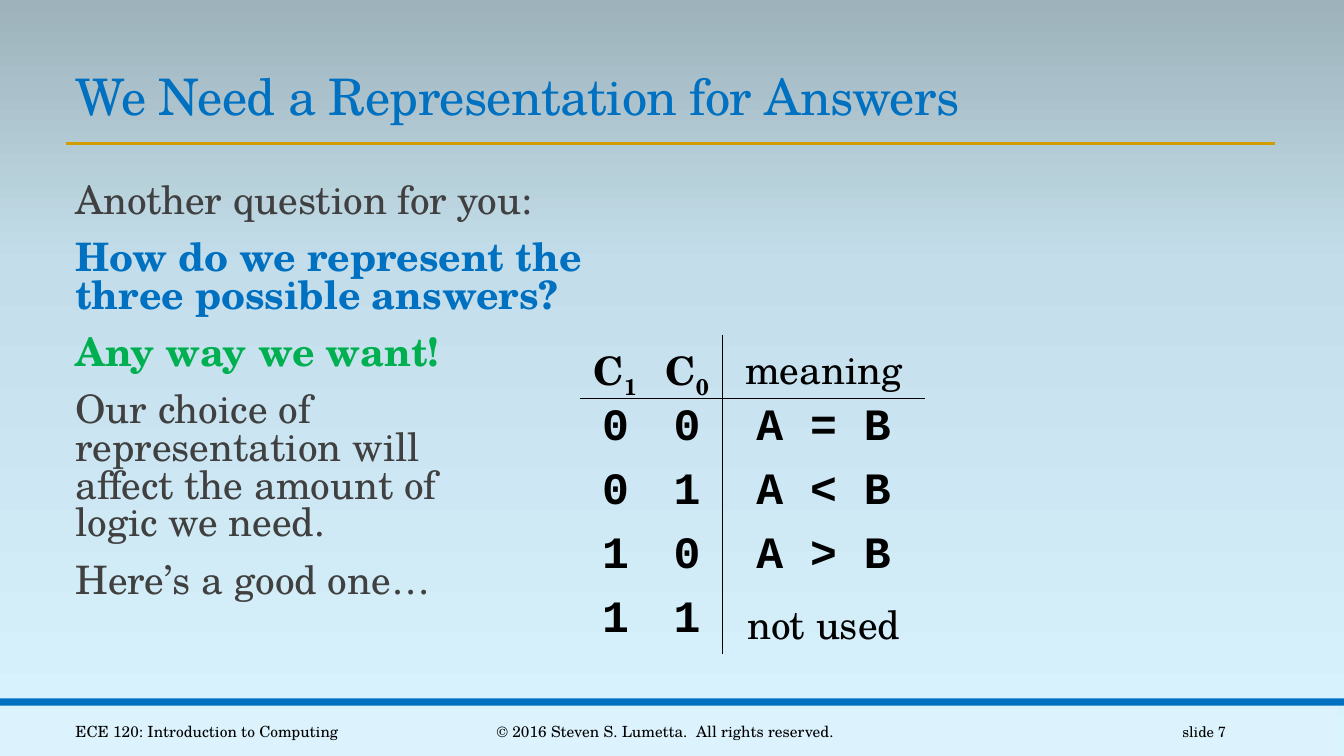
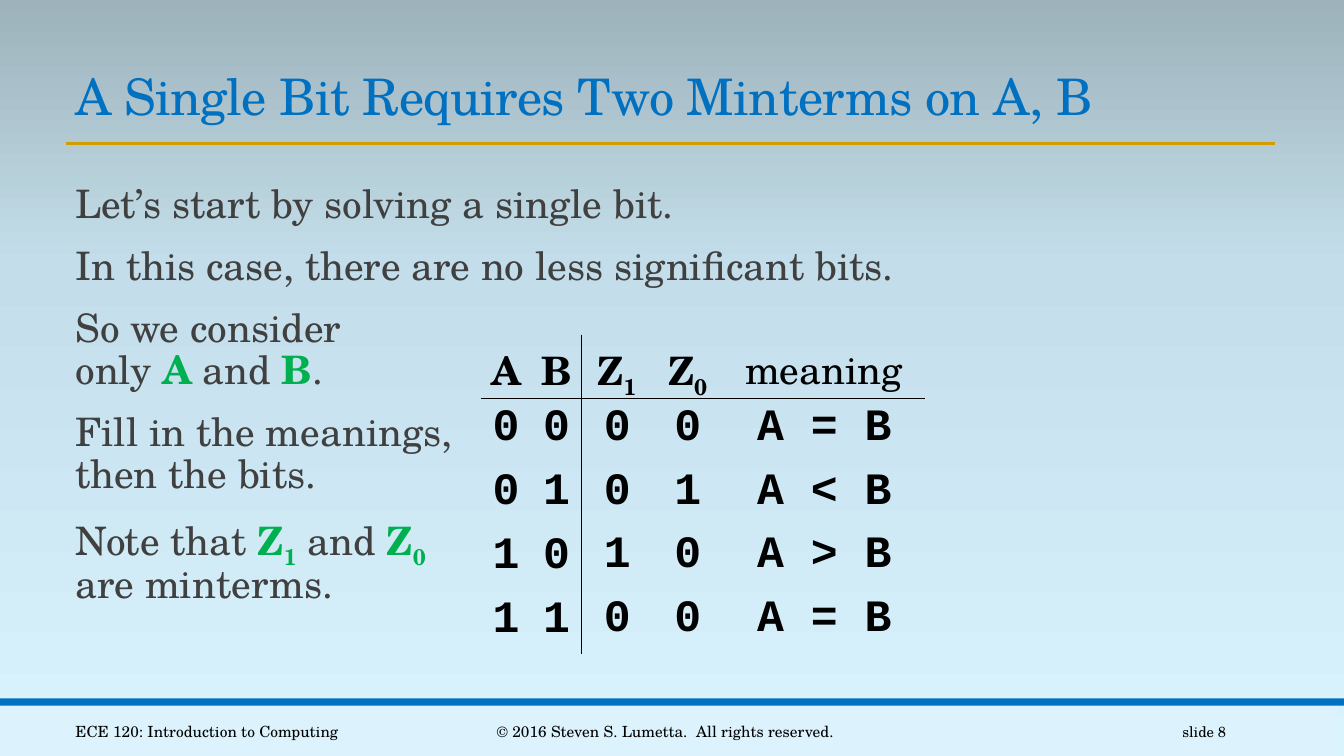
import copy

import pptx
import pptx.dml.color
import pptx.enum.shapes
import pptx.enum.text
import pptx.oxml.ns
import pptx.oxml.xmlchemy
import pptx.util
from pptx.util import Inches, Pt

# Shared look
COLORS = {
    "blue": "0070C0", "green": "00B050", "gray": "404040", "black": "000000",
    "gold": "D09E00", "footer": "DCF3FD",
}
BACKGROUND = [(0, "DAF4FF"), (0.65, "C3DEEA"), (1, "9DB2BA")]
SERIF, MONO = "TeX Gyre Schola", "Courier New"
ALIGN = pptx.enum.text.PP_ALIGN
ANCHOR = pptx.enum.text.MSO_ANCHOR
NO_TABLE_STYLE = "{2D5ABB26-0587-4C30-8999-92F81FD0307C}"
FOOTERS = [  # text, left, width, alignment, size
    ("ECE 120: Introduction to Computing", 0.65, 3.25, ALIGN.LEFT, 11),
    ("© 2016 Steven S. Lumetta.  All rights reserved.", 4.03, 5.14, ALIGN.CENTER, 11),
    ("slide {number}", 10.83, 1.43, ALIGN.RIGHT, 10.5),
]

# Content: a run is plain text or (text, colour, subscript)
SLIDES = [
    {
        "number": 7,
        "title": "We Need a Representation for Answers",
        "line_spacing": 0.8,
        "body": [
            ["Another question for you:"],
            [("How do we represent the\nthree possible answers?", "blue", "")],
            [("Any way we want!", "green", "")],
            ["Our choice of\nrepresentation will\naffect the amount of\nlogic we need."],
            ["Here’s a good one…"],
        ],
        "table": {
            "left": 5.75, "columns": [0.71, 0.71, 2], "inputs": 2,
            "header": [("C", "1"), ("C", "0"), ("meaning", "")],
            "rows": [("0", "0", "A = B"), ("0", "1", "A < B"),
                     ("1", "0", "A > B"), ("1", "1", "not used")],
        },
        "answers": [],
    },
    {
        "number": 8,
        "title": "A Single Bit Requires Two Minterms on A, B",
        "line_spacing": 0.9,
        "body": [
            ["Let’s start by solving a single bit."],
            ["In this case, there are no less significant bits."],
            ["So we consider\nonly ", ("A", "green", ""), " and ", ("B", "green", ""), "."],
            ["Fill in the meanings,\nthen the bits."],
            ["Note that ", ("Z", "green", "1"), " and ", ("Z", "green", "0"),
             "\nare minterms."],
        ],
        "table": {
            "left": 4.77, "columns": [0.5, 0.5, 0.7, 0.7, 2], "inputs": 2,
            "header": [("A", ""), ("B", ""), ("Z", "1"), ("Z", "0"), ("meaning", "")],
            "rows": [("0", "0"), ("0", "1"), ("1", "0"), ("1", "1")],
        },
        "answers": [("0", "0", "A = B"), ("0", "1", "A < B"),
                    ("1", "0", "A > B"), ("0", "0", "A = B")],
    },
]
ANSWER_COLUMNS = [(5.89, 0.47), (6.59, 0.47), (7.41, 1.55)]
ANSWER_TOP, ANSWER_STEP = 3.88, 0.63


def rgb(name):
    return pptx.dml.color.RGBColor.from_string(COLORS[name])


def new_element(tag):
    return pptx.oxml.xmlchemy.OxmlElement(tag)


def set_font(font, size, color="black", name=SERIF, bold=False):
    font.name, font.size, font.bold = name, Pt(size), bold
    font.color.rgb = rgb(color)


def add_run(paragraph, text, subscript=""):
    """Add text with line breaks, then an optional subscript; return the runs."""
    runs = []
    for index, line in enumerate(text.split("\n")):
        if index:
            paragraph.add_line_break()
        if line:
            runs.append(paragraph.add_run())
            runs[-1].text = line
    if subscript:
        runs.append(paragraph.add_run())
        runs[-1].text = subscript
        runs[-1].font._element.set("baseline", "-25000")
    return runs


def add_text_box(slide, left, top, width, height, wrap=True):
    box = slide.shapes.add_textbox(Inches(left), Inches(top), Inches(width), Inches(height))
    box.text_frame.word_wrap = wrap
    return box.text_frame


def add_band(slide, left, top, height, color):
    band = slide.shapes.add_shape(
        pptx.enum.shapes.MSO_SHAPE.RECTANGLE,
        Inches(left), Inches(top), Inches(13.33), Inches(height))
    band.shadow.inherit = False
    band.fill.solid()
    band.fill.fore_color.rgb = rgb(color)
    band.line.fill.background()


def add_frame(slide, title_text, number):
    """Background, bands, rule, title and footers."""
    fill = slide.background.fill
    fill.gradient()
    fill.gradient_angle = 90
    stops = slide.element.find(".//" + pptx.oxml.ns.qn("a:gsLst"))
    stops.append(copy.deepcopy(stops[-1]))
    for stop, (position, color) in zip(fill.gradient_stops, BACKGROUND):
        stop.position = position
        stop.color.rgb = pptx.dml.color.RGBColor.from_string(color)

    add_band(slide, -0.06, 7, 0.5, "footer")
    add_band(slide, 0, 6.93, 0.07, "blue")
    rule = slide.shapes.add_connector(
        pptx.enum.shapes.MSO_CONNECTOR.STRAIGHT,
        Inches(0.65), Inches(1.42), Inches(12.65), Inches(1.42))
    rule.line.color.rgb = rgb("gold")
    rule.line.width = Pt(2)
    rule._element.spPr.append(new_element("a:effectLst"))

    title = slide.shapes.title
    title.left, title.top = Inches(0.65), Inches(0.59)
    title.width, title.height = Inches(12.01), Inches(0.71)
    title.text_frame.auto_size = pptx.enum.text.MSO_AUTO_SIZE.NONE
    title.text_frame.vertical_anchor = ANCHOR.BOTTOM
    paragraph = title.text_frame.paragraphs[0]
    paragraph.alignment, paragraph.line_spacing = ALIGN.LEFT, 0.85
    set_font(paragraph.font, 36, "blue")
    for run in add_run(paragraph, title_text):
        run.font._element.set("spc", "-50")

    for text, left, width, alignment, size in FOOTERS:
        frame = add_text_box(slide, left, 7.06, width, 0.4)
        frame.vertical_anchor = ANCHOR.MIDDLE
        paragraph = frame.paragraphs[0]
        paragraph.text = text.format(number=number)
        paragraph.alignment = alignment
        set_font(paragraph.font, size)


def add_body(slide, paragraphs, line_spacing):
    frame = add_text_box(slide, 0.65, 1.78, 8.52, 4.64)
    frame.margin_right = 0
    for index, runs in enumerate(paragraphs):
        paragraph = frame.add_paragraph() if index else frame.paragraphs[0]
        paragraph.line_spacing = line_spacing
        paragraph.space_before, paragraph.space_after = Pt(12), Pt(2)
        set_font(paragraph.font, 28, "gray")
        for item in runs:
            text, color, subscript = (item, "gray", "") if isinstance(item, str) else item
            for run in add_run(paragraph, text, subscript):
                set_font(run.font, 28, color, bold=color != "gray")


def set_borders(cell, sides):
    """Draw 1 pt black lines on the named sides and none on the others."""
    properties = cell._tc.get_or_add_tcPr()
    for side in "LRTB":
        line = new_element("a:ln" + side)
        line.set("w", str(Pt(1)))
        if side in sides:
            fill = new_element("a:solidFill")
            color = new_element("a:srgbClr")
            color.set("val", COLORS["black"])
            fill.append(color)
        else:
            fill = new_element("a:noFill")
        line.append(fill)
        properties.append(line)
    cell.fill.background()


def add_truth_table(slide, left, columns, inputs, header, rows):
    frame = slide.shapes.add_table(
        len(rows) + 1, len(columns),
        Inches(left), Inches(3.32), Inches(sum(columns)), Inches(3.1))
    table = frame.table
    table.first_row = table.horz_banding = False
    table._tbl.tblPr.find(pptx.oxml.ns.qn("a:tableStyleId")).text = NO_TABLE_STYLE
    for column, width in zip(table.columns, columns):
        column.width = Inches(width)
    for index, row in enumerate(table.rows):
        row.height = Inches(0.54 if index else 0.47)
    frame.height = Inches(3.1)

    contents = [header] + [[(text, "") for text in row] for row in rows]
    for row_index in range(len(contents)):
        for column_index in range(len(columns)):
            cell = table.cell(row_index, column_index)
            sides = {0: "B", 1: "T"}.get(row_index, "")
            sides += {inputs - 1: "R", inputs: "L"}.get(column_index, "")
            set_borders(cell, sides)
            if column_index >= len(contents[row_index]):
                continue
            text, subscript = contents[row_index][column_index]
            paragraph = cell.text_frame.paragraphs[0]
            paragraph.alignment = ALIGN.CENTER
            words = text in ("meaning", "not used")
            mono = row_index > 0 and not words
            for run in add_run(paragraph, text, subscript):
                set_font(run.font, 32 if mono else 28,
                         name=MONO if mono else SERIF, bold=not words)


def add_answers(slide, answers):
    """Filled-in bits and meanings, laid over the open table cells."""
    for index, row in enumerate(answers):
        for text, (left, width) in zip(row, ANSWER_COLUMNS):
            top = ANSWER_TOP + index * ANSWER_STEP
            frame = add_text_box(slide, left, top, width, 0.64, wrap=False)
            frame.auto_size = pptx.enum.text.MSO_AUTO_SIZE.SHAPE_TO_FIT_TEXT
            paragraph = frame.paragraphs[0]
            paragraph.text = text
            set_font(paragraph.font, 32, name=MONO, bold=True)


def main():
    presentation = pptx.Presentation()
    presentation.slide_width, presentation.slide_height = Inches(13.33), Inches(7.5)
    for content in SLIDES:
        slide = presentation.slides.add_slide(presentation.slide_layouts[5])
        add_frame(slide, content["title"], content["number"])
        add_body(slide, content["body"], content["line_spacing"])
        add_truth_table(slide, **content["table"])
        add_answers(slide, content["answers"])
    presentation.save("out.pptx")


if __name__ == "__main__":
    main()
